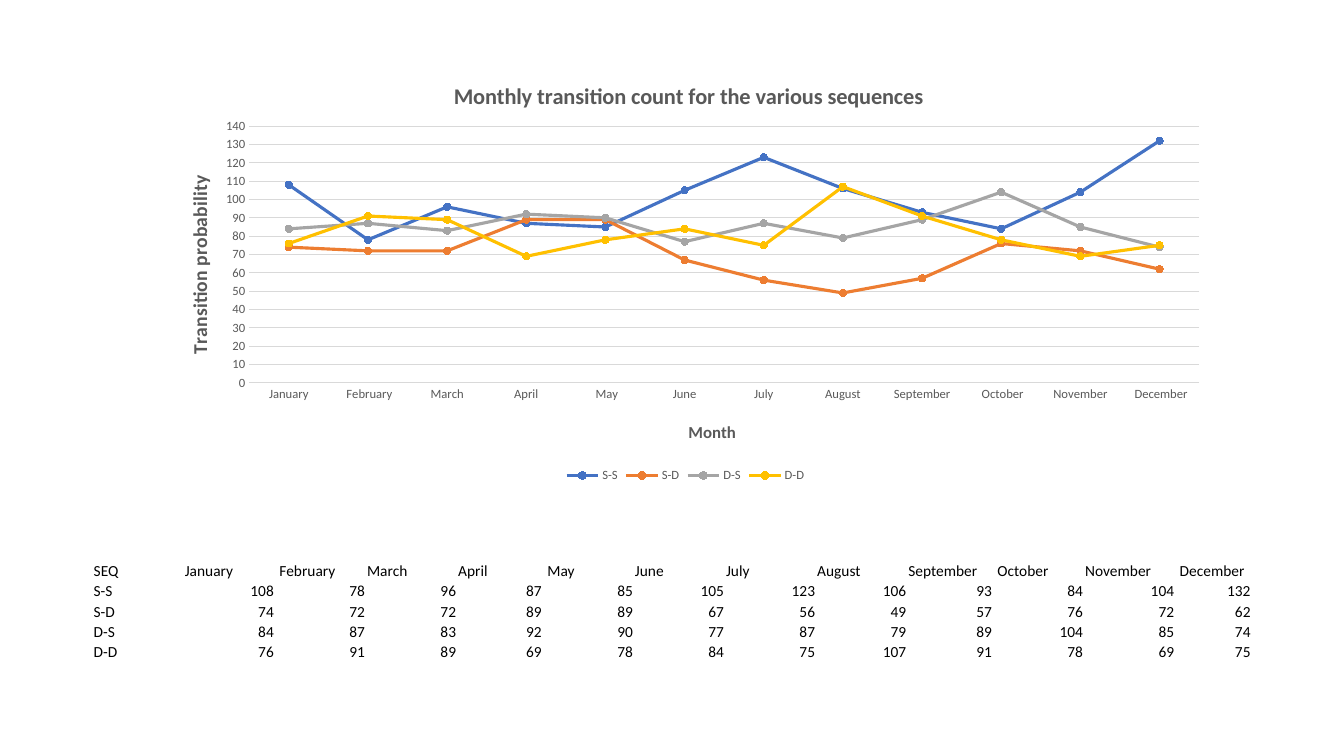
"""Build a slide with a line chart of monthly transition counts and its data table."""
import dataclasses

import pptx
import pptx.chart.data
import pptx.dml.color
import pptx.enum.chart
import pptx.enum.text
import pptx.oxml
import pptx.oxml.ns
import pptx.util

Pt = pptx.util.Pt
MONTHS = ["January", " February", "March", "April", " May", "June", "July",
          "August", "September", " October", "November", " December"]
COUNTS = {
    "S-S": [108, 78, 96, 87, 85, 105, 123, 106, 93, 84, 104, 132],
    "S-D": [74, 72, 72, 89, 89, 67, 56, 49, 57, 76, 72, 62],
    "D-S": [84, 87, 83, 92, 90, 77, 87, 79, 89, 104, 85, 74],
    "D-D": [76, 91, 89, 69, 78, 84, 75, 107, 91, 78, 69, 75],
}


@dataclasses.dataclass(frozen=True)
class Theme:
    font: str = "Calibri"
    ink: str = "000000"
    muted: str = "595959"
    grid: str = "D9D9D9"
    series: tuple = ("4472C4", "ED7D31", "A5A5A5", "FFC000")
    title_size: float = 16
    value_title_size: float = 14
    month_title_size: float = 12
    table_size: float = 11
    chart_size: float = 10
    label_size: float = 9


class SlideBuilder:
    def __init__(self, slide, theme):
        self.slide = slide
        self.theme = theme

    def color(self, value):
        return pptx.dml.color.RGBColor.from_string(value)

    def style_font(self, font, size, color, bold=False):
        font.name = self.theme.font
        font.size = Pt(size)
        font.bold = bold
        font.color.rgb = self.color(color)

    def style_line(self, line, color, width):
        line.color.rgb = self.color(color)
        line.width = Pt(width)

    def set_layout(self, element, inner=False, **fractions):
        qn = pptx.oxml.ns.qn
        for old in element.findall(qn("c:layout")):
            element.remove(old)
        target = '<c:layoutTarget val="inner"/>' if inner else ""
        modes = '<c:xMode val="edge"/><c:yMode val="edge"/>'
        sizes = "".join(f'<c:{key} val="{value}"/>' for key, value in fractions.items())
        layout = pptx.oxml.parse_xml(
            f'<c:layout {pptx.oxml.ns.nsdecls("c")}><c:manualLayout>'
            f"{target}{modes}{sizes}</c:manualLayout></c:layout>")
        text = element.find(qn("c:tx"))
        element.insert(0 if text is None else 1, layout)

    def chart_title(self, owner, text, size, x, y):
        title = owner.chart_title if hasattr(owner, "chart_title") else owner.axis_title
        title.text_frame.text = text
        paragraph = title.text_frame.paragraphs[0]
        self.style_font(paragraph.font, size, self.theme.muted, bold=True)
        self.set_layout(title._element, x=x, y=y)

    def axis(self, axis):
        axis.major_tick_mark = pptx.enum.chart.XL_TICK_MARK.NONE
        axis.minor_tick_mark = pptx.enum.chart.XL_TICK_MARK.NONE
        self.style_font(axis.tick_labels.font, self.theme.label_size, self.theme.muted)

    def line_chart(self, left, top, width, height, categories, values):
        theme = self.theme
        data = pptx.chart.data.CategoryChartData()
        data.categories = categories
        for name, numbers in values.items():
            data.add_series(name, numbers)
        chart = self.slide.shapes.add_chart(
            pptx.enum.chart.XL_CHART_TYPE.LINE_MARKERS,
            Pt(left), Pt(top), Pt(width), Pt(height), data).chart
        self.style_font(chart.font, theme.chart_size, theme.ink)
        chart.plots[0].vary_by_categories = False
        for series, color in zip(chart.plots[0].series, theme.series):
            series.smooth = False
            self.style_line(series.format.line, color, 2.25)
            series.marker.style = pptx.enum.chart.XL_MARKER_STYLE.CIRCLE
            series.marker.size = 5
            series.marker.format.fill.solid()
            series.marker.format.fill.fore_color.rgb = self.color(color)
            self.style_line(series.marker.format.line, color, 0.75)

        months, counts = chart.category_axis, chart.value_axis
        self.axis(months)
        self.axis(counts)
        self.style_line(months.format.line, theme.grid, 0.75)
        counts.format.line.fill.background()
        counts.minimum_scale, counts.maximum_scale, counts.major_unit = 0, 140, 10
        self.style_line(counts.major_gridlines.format.line, theme.grid, 0.75)

        chart.has_legend = True
        chart.legend.position = pptx.enum.chart.XL_LEGEND_POSITION.BOTTOM
        chart.legend.include_in_layout = False
        self.style_font(chart.legend.font, theme.label_size, theme.muted)

        self.chart_title(chart, "Monthly transition count for the various sequences",
                         theme.title_size, 0.28, 0.05)
        self.chart_title(months, "Month", theme.month_title_size, 0.5, 0.84)
        self.chart_title(counts, "Transition probability",
                         theme.value_title_size, 0.03, 0.27)
        plot_area = chart._chartSpace.chart.plotArea
        self.set_layout(plot_area, inner=True, x=0.0925, y=0.164, w=0.8875, h=0.595)

    def table(self, left, top, widths, row_height, rows):
        table = self.slide.shapes.add_table(
            len(rows), len(widths), Pt(left), Pt(top),
            Pt(sum(widths)), Pt(row_height * len(rows))).table
        table.first_row = table.horz_banding = False
        for column, width in zip(table.columns, widths):
            column.width = Pt(width)
        for row, values in zip(table.rows, rows):
            row.height = Pt(row_height)
            for cell, value in zip(row.cells, values):
                self.cell(cell, value)

    def cell(self, cell, value):
        cell.fill.background()
        cell.margin_left = cell.margin_right = cell.margin_top = Pt(0.75)
        cell.margin_bottom = 0
        cell.vertical_anchor = pptx.enum.text.MSO_ANCHOR.BOTTOM
        cell.text = str(value)
        paragraph = cell.text_frame.paragraphs[0]
        self.style_font(paragraph.font, self.theme.table_size, self.theme.ink)
        if isinstance(value, int):
            paragraph.alignment = pptx.enum.text.PP_ALIGN.RIGHT


def main():
    deck = pptx.Presentation()
    deck.slide_width, deck.slide_height = Pt(960), Pt(540)
    builder = SlideBuilder(deck.slides.add_slide(deck.slide_layouts[6]), Theme())
    builder.line_chart(107.3, 39.6, 764.6, 308.2, MONTHS, COUNTS)
    widths = [65.1] * 13
    widths[4] = widths[9] = 61.2
    widths[12] = 54.6
    rows = [["SEQ", *MONTHS]] + [[name, *numbers] for name, numbers in COUNTS.items()]
    builder.table(66.2, 400.3, widths, 14.5, rows)
    deck.save("out.pptx")


if __name__ == "__main__":
    main()
